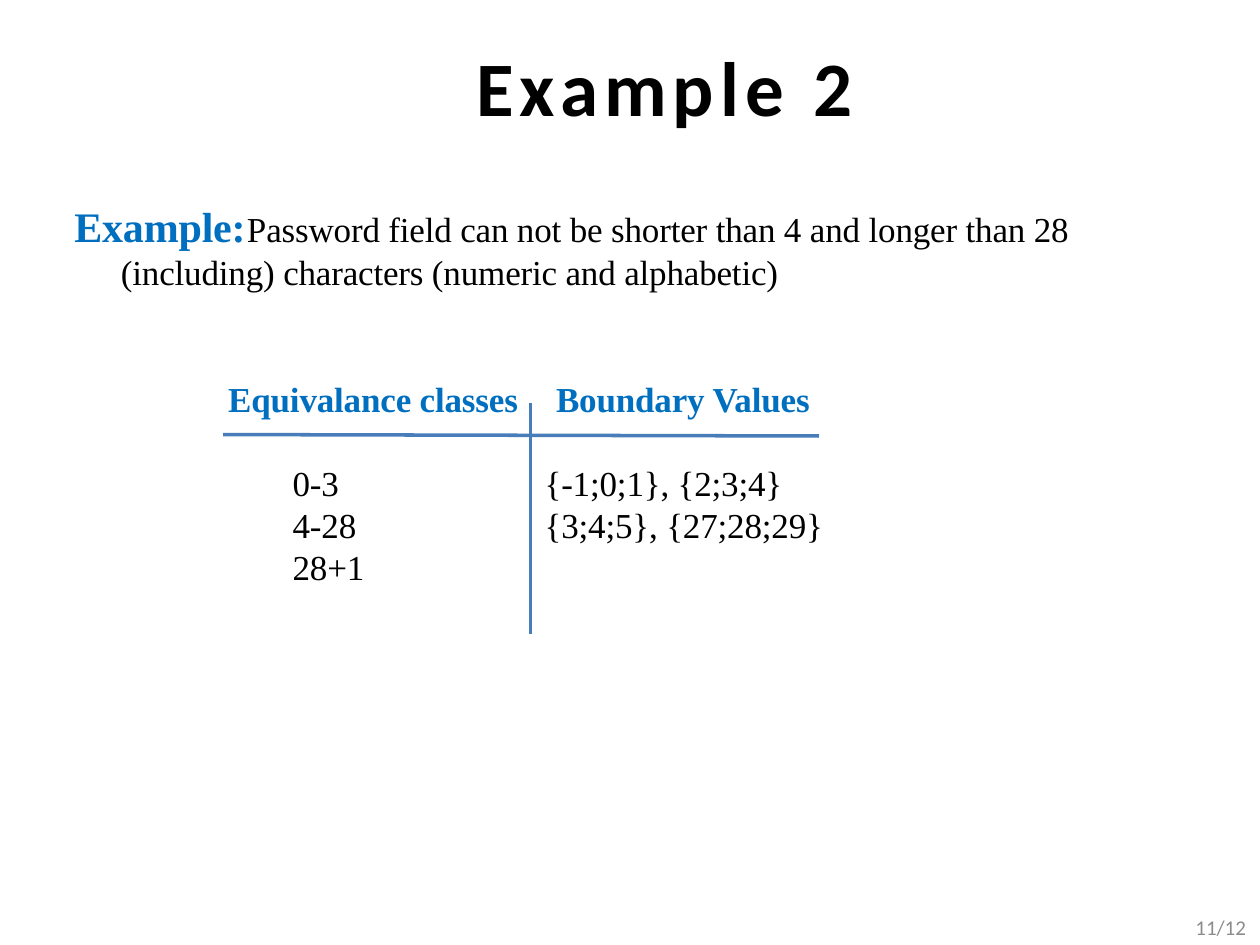
from dataclasses import dataclass

from lxml import etree
from pptx import Presentation
from pptx.dml.color import RGBColor
from pptx.enum import shapes, text
from pptx.oxml.ns import qn
from pptx.util import Cm, Pt


@dataclass(frozen=True)
class Style:
    font: str
    size: float
    color: str
    bold: bool = False
    tracking: float = 0


@dataclass(frozen=True)
class Theme:
    title: Style = Style("Calibri", 44, "000000", True, 3.5)
    lead: Style = Style("Times New Roman", 24, "006FBF", True, -0.1)
    heading: Style = Style("Times New Roman", 20, "006FBF", True, -0.1)
    body: Style = Style("Times New Roman", 20, "000000", False, -0.1)
    number: Style = Style("Calibri", 12, "8C8C8C")
    rule: str = "497DBA"
    rule_width: float = 2


THEME = Theme()


@dataclass(frozen=True)
class Block:
    """Text box in centimetres; each line is a list of (text, style) runs."""
    left: float
    top: float
    width: float
    height: float
    lines: list
    margin: float = 0.03
    indent: float = 0
    tab: float = 0
    middle: bool = False
    right: bool = False
    spacing: float = 0


@dataclass(frozen=True)
class Rule:
    x1: float
    y1: float
    x2: float
    y2: float


def column(left: float, top: float, width: float, height: float,
           style: Style, *lines: str) -> Block:
    return Block(left, top, width, height, [[(line, style)] for line in lines])


BLOCKS = [
    Block(1.27, 0.76, 22.86, 1.91, [[("Example 2", THEME.title)]],
          margin=8.33, middle=True),
    Block(1.45, 4.01, 22.38, 1.93,
          [[("Example:\t", THEME.lead),
            ("Password field can not be shorter than 4 and longer than 28 "
             "(including) characters (numeric and alphabetic)", THEME.body)]],
          margin=0.99, indent=-0.94, tab=3.89),
    column(4.57, 7.59, 5.97, 0.91, THEME.heading, "Equivalance classes"),
    column(11.18, 7.59, 5.33, 0.91, THEME.heading, "Boundary Values"),
    column(10.95, 9.27, 5.74, 1.75, THEME.body,
           "{-1;0;1}, {2;3;4}", "{3;4;5}, {27;28;29}"),
    column(5.87, 9.27, 1.52, 2.62, THEME.body, "0-3", "4-28", "28+1"),
    Block(23.09, 17.96, 2.03, 1.02, [[("11/12", THEME.number)]],
          middle=True, right=True, spacing=27.2),
]
RULES = [Rule(4.5, 8.76, 16.51, 8.79), Rule(10.69, 8.13, 10.69, 12.78)]


def add_run(p, content: str, style: Style) -> None:
    r = p.add_run()
    r.text = content
    r.font.name = style.font
    r.font.size = Pt(style.size)
    r.font.bold = style.bold
    r.font.color.rgb = RGBColor.from_string(style.color)
    if style.tracking:
        r.font._element.set("spc", str(round(style.tracking * 100)))


def set_indents(p, block: Block) -> None:
    """Set the margin, first-line indent and tab stop of a paragraph."""
    props = p._p.get_or_add_pPr()
    props.set("marL", str(Cm(block.margin)))
    props.set("indent", str(Cm(block.indent)))
    if block.tab:
        tabs = etree.SubElement(props, qn("a:tabLst"))
        etree.SubElement(tabs, qn("a:tab"), pos=str(Cm(block.tab)), algn="l")


def add_block(s, block: Block) -> None:
    sp = s.shapes.add_textbox(Cm(block.left), Cm(block.top),
                              Cm(block.width), Cm(block.height))
    tf = sp.text_frame
    tf.word_wrap = True
    tf.margin_left = tf.margin_right = tf.margin_bottom = 0
    tf.margin_top = Cm(0 if block.right else 0.03)
    if block.middle:
        tf.vertical_anchor = text.MSO_ANCHOR.MIDDLE
    for i, line in enumerate(block.lines):
        p = tf.add_paragraph() if i else tf.paragraphs[0]
        p.alignment = text.PP_ALIGN.RIGHT if block.right else text.PP_ALIGN.LEFT
        if block.spacing:
            p.line_spacing = Pt(block.spacing)
        elif i == 0:
            p.space_before = Pt(1)
        set_indents(p, block)
        for content, style in line:
            add_run(p, content, style)


def add_rule(s, rule: Rule) -> None:
    line = s.shapes.add_connector(shapes.MSO_CONNECTOR.STRAIGHT,
                                  Cm(rule.x1), Cm(rule.y1),
                                  Cm(rule.x2), Cm(rule.y2))
    line.line.color.rgb = RGBColor.from_string(THEME.rule)
    line.line.width = Pt(THEME.rule_width)
    etree.SubElement(line._element.spPr, qn("a:effectLst"))


def main() -> None:
    prs = Presentation()
    prs.slide_width, prs.slide_height = Cm(25.4), Cm(19.05)
    s = prs.slides.add_slide(prs.slide_layouts[6])
    for block in BLOCKS:
        add_block(s, block)
    for rule in RULES:
        add_rule(s, rule)
    prs.save("out.pptx")


if __name__ == "__main__":
    main()
